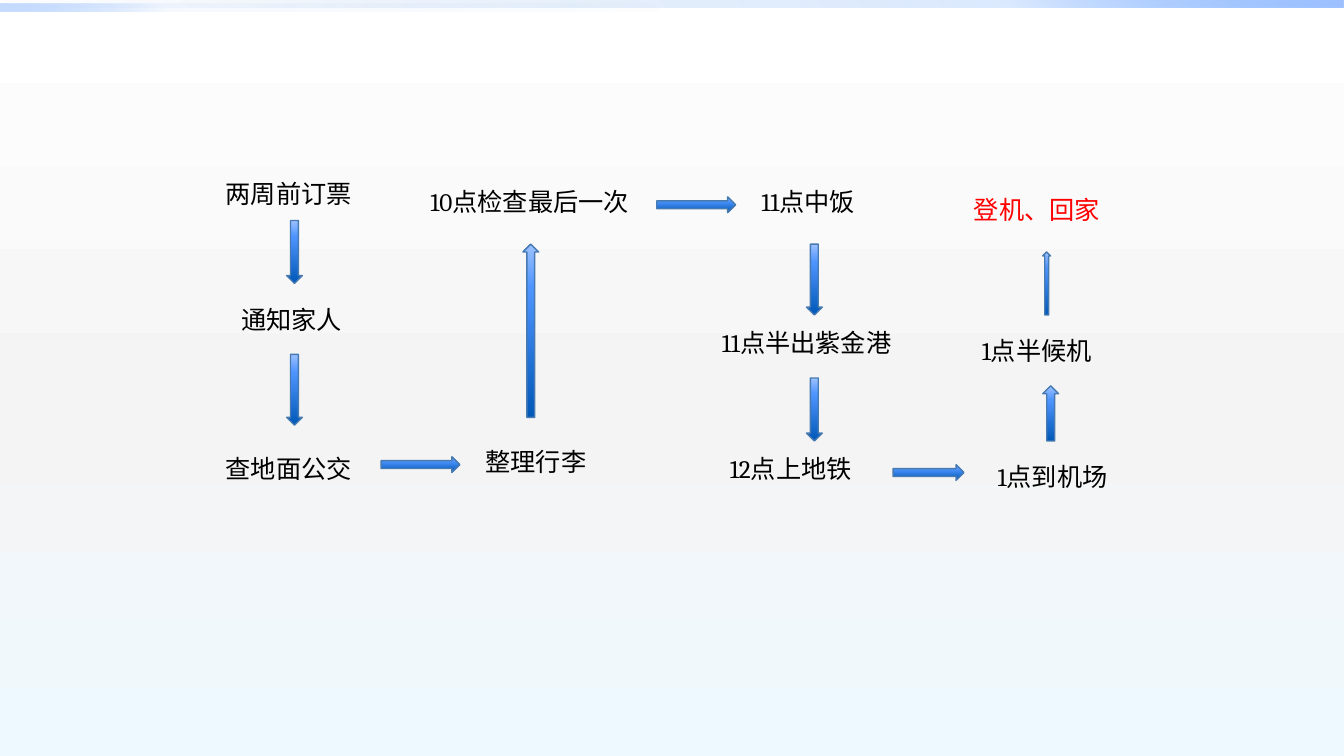
from lxml import etree
from pptx import Presentation
from pptx.dml.color import RGBColor
from pptx.enum.shapes import MSO_SHAPE
from pptx.enum.text import MSO_AUTO_SIZE
from pptx.oxml.ns import qn
from pptx.util import Inches, Pt

BAR = MSO_SHAPE.RECTANGLE
DOWN, UP, RIGHT = MSO_SHAPE.DOWN_ARROW, MSO_SHAPE.UP_ARROW, MSO_SHAPE.RIGHT_ARROW
FIT_SHAPE = MSO_AUTO_SIZE.SHAPE_TO_FIT_TEXT

COLORS = {
    "ink": "000000", "alert": "FF0000", "outline": "477AB1",
    "deep": "0058B7", "mid": "4F95FF", "pale": "9EC2FF",
    "white": "FFFFFF", "grey": "F4F4F4", "ice": "EEF9FF",
}


class FlowSlide:
    """Places elements on a square grid with 96 rows to the slide height."""

    width, height = 13.33, 7.5
    cell = height / 96
    margin = 0.03
    text_height = 0.4
    text_format = {"name": "Cambria", "size": Pt(18)}

    def __init__(self, deck):
        deck.slide_width, deck.slide_height = Inches(self.width), Inches(self.height)
        self.page = deck.slides.add_slide(deck.slide_layouts[6])

    def across(self, column):
        return Inches(self.margin + column * self.cell)

    def span(self, cells):
        return Inches(cells * self.cell)

    def gradient(self, fill, owner, angle, stops):
        """Fill with (position %, colour name, opacity %) stops."""
        fill.gradient()
        grad = next(owner.iter(qn("a:gradFill")))
        for child in list(grad):
            grad.remove(child)
        stop_list = etree.SubElement(grad, qn("a:gsLst"))
        for position, color, opacity in stops:
            stop = etree.SubElement(stop_list, qn("a:gs"), pos=str(position * 1000))
            tone = etree.SubElement(stop, qn("a:srgbClr"), val=COLORS[color])
            if opacity < 100:
                etree.SubElement(tone, qn("a:alpha"), val=str(opacity * 1000))
        etree.SubElement(grad, qn("a:lin"), ang=str(angle * 60000), scaled="0")

    def background(self, angle, stops):
        self.gradient(self.page.background.fill, self.page.element, angle, stops)

    def shape(self, kind, left, top, width, height, angle, opacities):
        shape = self.page.shapes.add_shape(kind, left, top, width, height)
        shape.shadow.inherit = False
        stops = zip((0, 75, 100), ("deep", "mid", "pale"), opacities)
        self.gradient(shape.fill, shape.element.spPr, angle, stops)
        return shape

    def bar(self, top, share, angle, opacities):
        shape = self.shape(BAR, 0, self.span(top), Inches(self.width * share),
                           self.span(1), angle, opacities)
        shape.line.fill.background()

    def arrow(self, kind, column, row, length, thickness=2):
        size = (length, thickness) if kind == RIGHT else (thickness, length)
        shape = self.shape(kind, self.across(column), self.span(row),
                           *map(self.span, size), 270, (100, 100, 100))
        shape.line.color.rgb = RGBColor.from_string(COLORS["outline"])
        shape.line.width = Pt(1)

    def step(self, text, column, row, columns, color="ink"):
        box = self.page.shapes.add_textbox(
            self.across(column), self.span(row),
            self.span(columns), Inches(self.text_height))
        frame = box.text_frame
        frame.word_wrap = True
        frame.auto_size = FIT_SHAPE
        span = frame.paragraphs[0].add_run()
        span.text = text
        for name, value in self.text_format.items():
            setattr(span.font, name, value)
        span.font.color.rgb = RGBColor.from_string(COLORS[color])


def main():
    deck = Presentation()
    flow = FlowSlide(deck)

    # Background and the bars along the top edge
    flow.background(90, [(0, "white", 100), (55, "grey", 100), (100, "ice", 100)])
    flow.bar(0, 1, 315, (0, 20, 100))
    flow.bar(0.5, 0.5, 135, (0, 5, 60))

    # Steps of the journey: text, column, row, width
    for step in [
        ("两周前订票", 27, 22, 30),
        ("通知家人", 29, 38, 19),
        ("查地面公交", 27, 57, 22),
        ("整理行李", 60, 56, 20),
        ("10点检查最后一次", 53, 23, 31),
        ("11点中饭", 95, 23, 16),
        ("11点半出紫金港", 90, 41, 26),
        ("12点上地铁", 91, 57, 20),
        ("1点到机场", 125, 58, 18),
        ("1点半候机", 123, 42, 19),
        ("登机、回家", 122, 24, 20, "alert"),
    ]:
        flow.step(*step)

    # Arrows between the steps: kind, column, row, length
    for arrow in [
        (DOWN, 36, 28, 8),
        (DOWN, 36, 45, 9),
        (RIGHT, 48, 58, 10),
        (UP, 66, 31, 22),
        (RIGHT, 83, 25, 10),
        (DOWN, 102, 31, 9),
        (DOWN, 102, 48, 8),
        (RIGHT, 113, 59, 9),
        (UP, 132, 49, 7),
        (UP, 132, 32, 8, 1),
    ]:
        flow.arrow(*arrow)

    deck.save("out.pptx")


if __name__ == "__main__":
    main()
